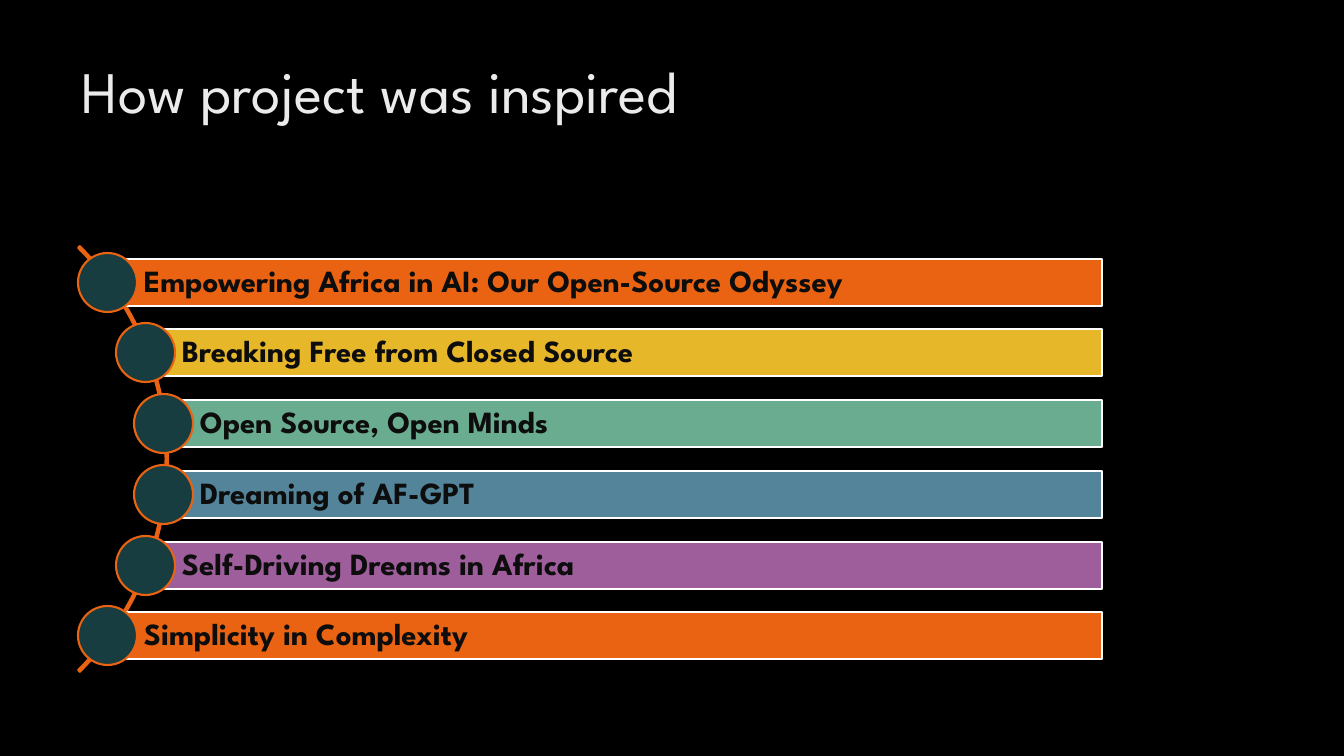
import math
from dataclasses import dataclass

import pptx
import pptx.dml.color
import pptx.enum.shapes
import pptx.enum.text
import pptx.util

EMU_PER_PX = 914400 / 100.8
FONT = "League Spartan"
COLORS = {
    "background": "000000",
    "title": "EBEBEB",
    "text": "0D0D0D",
    "outline": "FFFFFF",
    "dot": "173D40",
    "orange": "EA6312",
    "yellow": "E6B729",
    "green": "6AAC90",
    "blue": "54849A",
    "purple": "9E5E9B",
}
SHAPES = pptx.enum.shapes.MSO_SHAPE
ANCHORS = pptx.enum.text.MSO_ANCHOR

# The dots sit on a circle whose centre lies left of the slide.
ARC_CENTER_X, ARC_CENTER_Y = -133, 459
ARC_SIZE = 602
DOT_ORBIT = 298
ROW_PITCH = 70.7
BAR_RIGHT, BAR_HEIGHT, DOT_SIZE = 1102, 47, 59


@dataclass(frozen=True)
class Inspiration:
    text: str
    color: str


@dataclass(frozen=True)
class Box:
    left: int
    top: int
    width: int
    height: int

    def emu(self) -> list:
        return [px(v) for v in (self.left, self.top, self.width, self.height)]


INSPIRATIONS = [
    Inspiration("Empowering Africa in AI: Our Open-Source Odyssey", "orange"),
    Inspiration("Breaking Free from Closed Source", "yellow"),
    Inspiration("Open Source, Open Minds", "green"),
    Inspiration("Dreaming of AF-GPT", "blue"),
    Inspiration("Self-Driving Dreams in Africa", "purple"),
    Inspiration("Simplicity in Complexity", "orange"),
]


def px(value: int) -> pptx.util.Emu:
    return pptx.util.Emu(round(value * EMU_PER_PX))


def rgb(name: str) -> pptx.dml.color.RGBColor:
    return pptx.dml.color.RGBColor.from_string(COLORS[name])


def add_shape(slide, kind, box: Box, line: str, fill: str = ""):
    """Add a preset shape; an empty fill name leaves it unfilled."""
    shape = slide.shapes.add_shape(kind, *box.emu())
    shape.shadow.inherit = False
    shape.line.color.rgb = rgb(line)
    shape.line.width = pptx.util.Pt(1.5)
    if fill:
        shape.fill.solid()
        shape.fill.fore_color.rgb = rgb(fill)
    else:
        shape.fill.background()
    return shape


def write_text(shape, text: str, color: str, size: int, bold: bool, frame_format: dict):
    frame = shape.text_frame
    for name, value in {"word_wrap": True, **frame_format}.items():
        setattr(frame, name, value)
    paragraph = frame.paragraphs[0]
    paragraph.text = text
    paragraph.alignment = pptx.enum.text.PP_ALIGN.LEFT
    font_format = {"name": FONT, "size": pptx.util.Pt(size), "bold": bold}
    font = paragraph.runs[0].font
    for name, value in font_format.items():
        setattr(font, name, value)
    font.color.rgb = rgb(color)
    return paragraph


def add_title(slide, text: str) -> None:
    title = slide.shapes.add_textbox(*Box(72, 50, 1037, 154).emu())
    write_text(title, text, "title", 42, False, {"vertical_anchor": ANCHORS.TOP})


def add_arc(slide) -> None:
    half = ARC_SIZE // 2
    box = Box(ARC_CENTER_X - half, ARC_CENTER_Y - half, ARC_SIZE, ARC_SIZE)
    arc = add_shape(slide, SHAPES.BLOCK_ARC, box, "orange")
    for index, value in enumerate((189, 27, 0.004)):
        arc.adjustments[index] = value


def add_row(slide, row: Inspiration, offset: float) -> None:
    """Draw a bar and its dot, offset vertically from the arc's centre."""
    center_x = round(ARC_CENTER_X + math.sqrt(DOT_ORBIT**2 - offset**2))
    center_y = ARC_CENTER_Y + offset
    bar_box = Box(center_x, round(center_y - BAR_HEIGHT / 2), BAR_RIGHT - center_x, BAR_HEIGHT)
    bar = add_shape(slide, SHAPES.RECTANGLE, bar_box, "outline", row.color)
    frame_format = {
        "vertical_anchor": ANCHORS.MIDDLE,
        "margin_left": px(37),
        "margin_right": px(6),
        "margin_top": px(6),
        "margin_bottom": px(6),
    }
    paragraph = write_text(bar, row.text, "text", 22, True, frame_format)
    paragraph.line_spacing = 0.9
    half = DOT_SIZE / 2
    dot_box = Box(round(center_x - half), round(center_y - half), DOT_SIZE, DOT_SIZE)
    add_shape(slide, SHAPES.OVAL, dot_box, "orange", "dot")


def main() -> None:
    presentation = pptx.Presentation()
    presentation.slide_width = px(1344)
    presentation.slide_height = px(756)
    slide = presentation.slides.add_slide(presentation.slide_layouts[6])
    slide.background.fill.solid()
    slide.background.fill.fore_color.rgb = rgb("background")
    add_title(slide, "How project was inspired")
    add_arc(slide)
    middle = (len(INSPIRATIONS) - 1) / 2
    for index, row in enumerate(INSPIRATIONS):
        add_row(slide, row, (index - middle) * ROW_PITCH)
    presentation.save("out.pptx")


if __name__ == "__main__":
    main()
